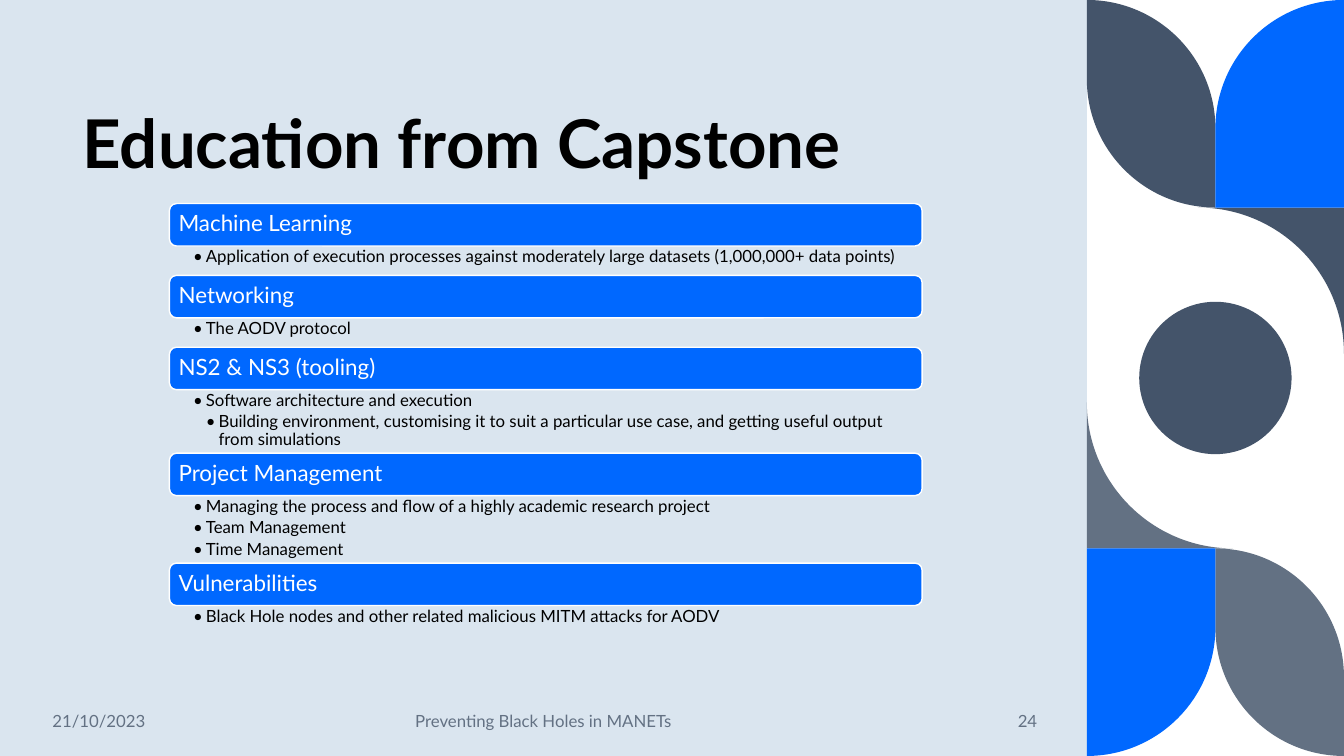
from dataclasses import dataclass

import pptx
import pptx.dml.color
import pptx.enum.shapes
import pptx.enum.text
import pptx.oxml.ns
import pptx.util
from lxml import etree
from pptx.util import Cm


@dataclass(frozen=True)
class Theme:
    font: str = "Lato"
    backdrop: str = "DAE5EF"
    white: str = "FFFFFF"
    black: str = "000000"
    blue: str = "0068FF"
    navy: str = "44546A"
    slate: str = "637183"
    title_size: int = 48
    bar_size: int = 16
    text_size: int = 12


theme = Theme()
rgb = pptx.dml.color.RGBColor.from_string
qn = pptx.oxml.ns.qn
Anchor = pptx.enum.text.MSO_ANCHOR
Align = pptx.enum.text.PP_ALIGN
Preset = pptx.enum.shapes.MSO_SHAPE


def write(paragraph, text, size, color, bold=False):
    run = paragraph.add_run()
    run.text = text
    run.font.name = theme.font
    run.font.size = pptx.util.Pt(size)
    run.font.color.rgb = rgb(color)
    run.font.bold = bold


def paint(shape, color):
    shape.shadow.inherit = False
    shape.fill.solid()
    shape.fill.fore_color.rgb = rgb(color)
    shape.line.fill.background()


presentation = pptx.Presentation()
presentation.slide_width = Cm(33.87)
presentation.slide_height = Cm(19.05)
slide = presentation.slides.add_slide(presentation.slide_layouts[5])
shapes = slide.shapes
slide.background.fill.solid()
slide.background.fill.fore_color.rgb = rgb(theme.white)

# Backdrop and the disc in the middle of the side panel
panel_left, panel_right, page_height = 27.39, 33.87, 19.05
panel_middle = (panel_left + panel_right) / 2
paint(shapes.add_shape(Preset.RECTANGLE, 0, 0, Cm(panel_left), Cm(page_height)), theme.backdrop)
disc = 3.84
paint(shapes.add_shape(Preset.OVAL, Cm(panel_middle - disc / 2), Cm(page_height / 2 - disc / 2),
                       Cm(disc), Cm(disc)), theme.navy)

# Petals: each step is x, y and how it is reached: a straight line,
# or a quarter arc that sets out vertically or horizontally
radius = (panel_right - panel_left) / 2
tile, corner = 5.23, 3.68
petals = [
    ([(panel_left, 0, "line"), (panel_left, tile - radius, "line"),
      (panel_middle, tile, "vertical"), (panel_middle, radius, "line"),
      (panel_left, 0, "vertical")], theme.navy, theme.slate),
    ([(panel_right, tile, "line"), (panel_right - corner, tile, "line"),
      (panel_right, tile + corner, "horizontal")], theme.navy, theme.slate),
    ([(panel_right, 0, "line"), (panel_right, tile, "line"), (panel_middle, tile, "line"),
      (panel_middle, radius, "line"), (panel_right, 0, "vertical")], theme.blue, theme.blue),
]
arc_pull = 0.5523
for outline, top_color, bottom_color in petals:
    # The lower half of the panel is the upper half turned by 180 degrees
    turned = [(panel_left + panel_right - x, page_height - y, kind) for x, y, kind in outline]
    for steps, color in ((outline, top_color), (turned, bottom_color)):
        vertices = [(Cm(x), Cm(y)) for x, y, kind in steps]
        builder = shapes.build_freeform(*vertices[0])
        builder.add_line_segments(vertices[1:], close=True)
        petal = builder.convert_to_shape()
        paint(petal, color)
        # Bend the arc steps into curves
        nodes = list(petal._element.iter(qn("a:pt")))
        places = [(int(node.get("x")), int(node.get("y"))) for node in nodes]
        for index, (x, y, kind) in enumerate(steps):
            if kind == "line":
                continue
            start, end = places[index - 1], places[index]
            bend = (start[0], end[1]) if kind == "vertical" else (end[0], start[1])
            segment = nodes[index].getparent()
            curve = etree.Element(qn("a:cubicBezTo"))
            for base in (start, end):
                control = etree.SubElement(curve, qn("a:pt"))
                for axis, name in enumerate("xy"):
                    pulled = base[axis] + arc_pull * (bend[axis] - base[axis])
                    control.set(name, str(round(pulled)))
            curve.append(nodes[index])
            segment.getparent().replace(segment, curve)

# Title, brought in front of the backdrop
title = shapes.title
title._element.getparent().append(title._element)
title.left, title.top, title.width, title.height = Cm(2.08), Cm(0.38), Cm(23.34), Cm(4.37)
frame = title.text_frame
frame.auto_size = pptx.enum.text.MSO_AUTO_SIZE.NONE
frame.vertical_anchor = Anchor.BOTTOM
frame.margin_left = 0
paragraph = frame.paragraphs[0]
paragraph.alignment = Align.LEFT
paragraph.line_spacing = 0.9
write(paragraph, "Education from Capstone", theme.title_size, theme.black, bold=True)

# Footer
footer = [
    (1.07, 4.37, Align.LEFT, "21/10/2023"),
    (7.98, 11.43, Align.CENTER, "Preventing Black Holes in MANETs"),
    (23.14, 3.25, Align.RIGHT, "24"),
]
for left, width, alignment, text in footer:
    frame = shapes.add_textbox(Cm(left), Cm(17.65), Cm(width), Cm(1.02)).text_frame
    frame.word_wrap = True
    frame.vertical_anchor = Anchor.MIDDLE
    frame.paragraphs[0].alignment = alignment
    write(frame.paragraphs[0], text, theme.text_size, theme.slate)

# Topics: heading, height of the list, list lines as (level, text)
topics = [
    ("Machine Learning", 0.74, [
        (1, "Application of execution processes against moderately large datasets "
            "(1,000,000+ data points)")]),
    ("Networking", 0.74, [(1, "The AODV protocol")]),
    ("NS2 & NS3 (tooling)", 1.6, [
        (1, "Software architecture and execution"),
        (2, "Building environment, customising it to suit a particular use case, "
            "and getting useful output from simulations")]),
    ("Project Management", 1.7, [
        (1, "Managing the process and flow of a highly academic research project"),
        (1, "Team Management"),
        (1, "Time Management")]),
    ("Vulnerabilities", 0.74, [
        (1, "Black Hole nodes and other related malicious MITM attacks for AODV")]),
]
topic_left, topic_width, bar_height = 4.27, 18.97, 1.07
indent = 0.32
top = 5.13
for heading, list_height, lines in topics:
    # Heading bar
    bar = shapes.add_shape(Preset.ROUNDED_RECTANGLE, Cm(topic_left), Cm(top),
                           Cm(topic_width), Cm(bar_height))
    paint(bar, theme.blue)
    bar.line.color.rgb = rgb(theme.white)
    bar.line.width = pptx.util.Pt(1)
    frame = bar.text_frame
    frame.word_wrap = True
    frame.vertical_anchor = Anchor.MIDDLE
    frame.margin_left = frame.margin_right = Cm(0.18)
    frame.margin_top = frame.margin_bottom = Cm(0.18)
    paragraph = frame.paragraphs[0]
    paragraph.alignment = Align.LEFT
    paragraph.line_spacing = 0.9
    write(paragraph, heading, theme.bar_size, theme.white)
    top += bar_height

    # Bulleted list under the bar
    frame = shapes.add_textbox(Cm(topic_left), Cm(top), Cm(topic_width), Cm(list_height)).text_frame
    frame.word_wrap = True
    frame.margin_left, frame.margin_right = Cm(0.6), Cm(0.3)
    frame.margin_top = frame.margin_bottom = Cm(0.05)
    for index, (level, text) in enumerate(lines):
        paragraph = frame.add_paragraph() if index else frame.paragraphs[0]
        properties = paragraph._p.get_or_add_pPr()
        properties.set("marL", str(Cm(indent * level)))
        properties.set("indent", str(-Cm(indent)))
        etree.SubElement(properties, qn("a:buFont")).set("typeface", theme.font)
        etree.SubElement(properties, qn("a:buChar")).set("char", "•")
        paragraph.level = level
        paragraph.line_spacing = 0.9
        paragraph.space_after = pptx.util.Pt(0.2 * theme.text_size)
        write(paragraph, text, theme.text_size, theme.black)
    top += list_height

presentation.save("out.pptx")
